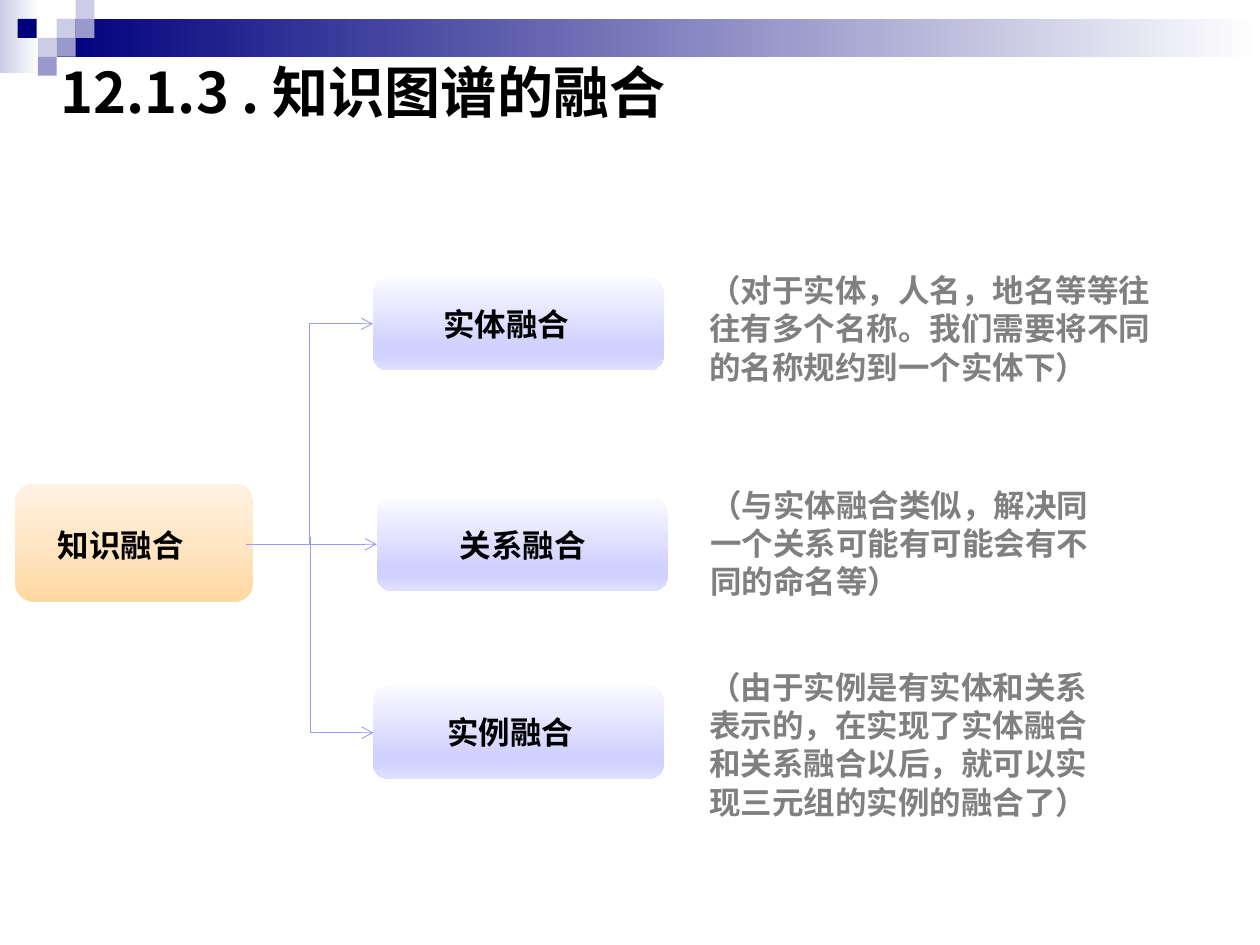
from lxml import etree
from pptx import Presentation
from pptx.dml.color import RGBColor
from pptx.enum.shapes import MSO_CONNECTOR, MSO_SHAPE
from pptx.enum.text import MSO_ANCHOR, PP_ALIGN
from pptx.oxml.ns import qn
from pptx.util import Inches, Pt

RECTANGLE = MSO_SHAPE.RECTANGLE
ROUNDED = MSO_SHAPE.ROUNDED_RECTANGLE
ELBOW = MSO_CONNECTOR.ELBOW
STRAIGHT = MSO_CONNECTOR.STRAIGHT
MIDDLE = MSO_ANCHOR.MIDDLE
LEFT = PP_ALIGN.LEFT

BLACK = RGBColor(0x00, 0x00, 0x00)
WHITE = RGBColor(0xFF, 0xFF, 0xFF)
GRAY = RGBColor(0x80, 0x80, 0x80)
NAVY = RGBColor(0x00, 0x00, 0x7D)
PALE = RGBColor(0xCC, 0xCC, 0xE6)
LAVENDER = RGBColor(0x99, 0x99, 0xCC)
ARROW_BLUE = RGBColor(0x99, 0x99, 0xFF)

ORANGE_STOPS = [(0, RGBColor(0xFF, 0xD8, 0xA0)), (50, RGBColor(0xFF, 0xE6, 0xC5)),
                (100, RGBColor(0xFF, 0xF2, 0xE3))]
BLUE_STOPS = [(0, RGBColor(0xFA, 0xFA, 0xFF)), (74, RGBColor(0xD1, 0xD1, 0xFF)),
              (83, RGBColor(0xD1, 0xD1, 0xFF)), (100, RGBColor(0xE0, 0xE0, 0xFF))]

CJK_FONT = "Noto Sans CJK SC"
LATIN_FONT = "Arial"
SQUARE = 0.15

SQUARES = [(0.45, 0.15, PALE), (0.6, 0, PALE), (0.6, 0.15, LAVENDER), (0.3, 0.3, PALE),
           (0.14, 0.15, NAVY), (0.45, 0.3, LAVENDER), (0.3, 0.45, LAVENDER)]

BRANCHES = [
    (2.96, 2.2, "实体融合", 3.42, (5.53, 2.1, 3.8, 1.01),
     "（对于实体，人名，地名等等往往有多个名称。我们需要将不同的名称规约到一个实体下）"),
    (2.99, 3.95, "关系融合", 3.55, (5.54, 3.8, 3.31, 1.01),
     "（与实体融合类似，解决同一个关系可能有可能会有不同的命名等）"),
    (2.96, 5.44, "实例融合", 3.45, (5.53, 5.25, 3.41, 1.31),
     "（由于实例是有实体和关系表示的，在实现了实体融合和关系融合以后，就可以实现三元组的实例的融合了）"),
]


def add_block(slide, kind, box):
    shape = slide.shapes.add_shape(kind, *map(Inches, box))
    shape.shadow.inherit = False
    shape.line.fill.background()
    return shape


def add_solid(slide, box, color):
    shape = add_block(slide, RECTANGLE, box)
    shape.fill.solid()
    shape.fill.fore_color.rgb = color


def add_gradient(slide, kind, box, stops, angle):
    shape = add_block(slide, kind, box)
    shape.fill.gradient()
    shape.fill.gradient_angle = angle
    stop_list = shape._element.spPr.find(qn("a:gradFill")).find(qn("a:gsLst"))
    for old_stop in list(stop_list):
        stop_list.remove(old_stop)
    for position, color in stops:
        stop = etree.SubElement(stop_list, qn("a:gs"), pos=str(position * 1000))
        etree.SubElement(stop, qn("a:srgbClr"), val=str(color))


def fill_text(shape, text, size, color, font_name, wrap):
    frame = shape.text_frame
    frame.text = text
    frame.word_wrap = wrap
    frame.vertical_anchor = MIDDLE
    paragraph = frame.paragraphs[0]
    paragraph.alignment = LEFT
    paragraph.line_spacing = Pt(round(size * 1.21, 1))
    font = paragraph.runs[0].font
    font.size = Pt(size)
    font.bold = True
    font.color.rgb = color
    font.name = font_name
    east_asian = etree.Element(qn("a:ea"), typeface=CJK_FONT)
    font._element.find(qn("a:latin")).addnext(east_asian)


def add_text(slide, box, text, color, font_name, wrap):
    shape = slide.shapes.add_textbox(*map(Inches, box))
    fill_text(shape, text, 18, color, font_name, wrap)


def add_arrow(slide, kind, ends):
    connector = slide.shapes.add_connector(kind, *map(Inches, ends))
    connector.line.color.rgb = ARROW_BLUE
    connector.line.width = Pt(0.5)
    etree.SubElement(connector.line._get_or_add_ln(), qn("a:tailEnd"), type="arrow")
    etree.SubElement(connector._element.spPr, qn("a:effectLst"))
    return connector


def add_down_arrow(slide, ends):
    properties = add_arrow(slide, ELBOW, ends)._element.spPr
    properties.find(qn("a:prstGeom")).set("prst", "bentConnector2")
    properties.find(qn("a:xfrm")).set("rot", str(90 * 60000))


def add_header(slide):
    add_gradient(slide, RECTANGLE, (0, 0, 0.31, 0.58), [(0, PALE), (100, WHITE)], 0)
    add_gradient(slide, RECTANGLE, (0.45, 0.15, 9.55, 0.3), [(0, NAVY), (100, WHITE)], 0)
    for left, top, color in SQUARES:
        add_solid(slide, (left, top, SQUARE, SQUARE), color)


def add_title(slide, text):
    title = slide.shapes.title
    title.left, title.top, title.width, title.height = map(Inches, (0.38, 0.4, 5.4, 0.64))
    fill_text(title, text, 32, BLACK, CJK_FONT, False)


def main():
    presentation = Presentation()
    presentation.slide_width = Inches(10)
    presentation.slide_height = Inches(7.5)
    slide = presentation.slides.add_slide(presentation.slide_layouts[5])

    add_header(slide)
    add_title(slide, "12.1.3 . 知识图谱的融合")

    add_gradient(slide, ROUNDED, (0.12, 3.84, 1.89, 0.94), ORANGE_STOPS, 90)
    add_text(slide, (0.36, 4.12, 1.6, 0.4), "知识融合", BLACK, LATIN_FONT, True)

    for left, top, label, label_left, note_box, note in BRANCHES:
        add_gradient(slide, ROUNDED, (left, top, 2.31, 0.74), BLUE_STOPS, 270)
        add_text(slide, (label_left, top + 0.17, 1.45, 0.4), label, BLACK, LATIN_FONT, True)
        add_text(slide, note_box, note, GRAY, CJK_FONT, True)

    add_arrow(slide, ELBOW, (1.95, 4.32, 2.96, 2.57))
    add_arrow(slide, STRAIGHT, (2.47, 4.32, 2.99, 4.32))
    add_down_arrow(slide, (1.94, 5.29, 3.49, 4.79))

    presentation.save("out.pptx")


if __name__ == "__main__":
    main()
